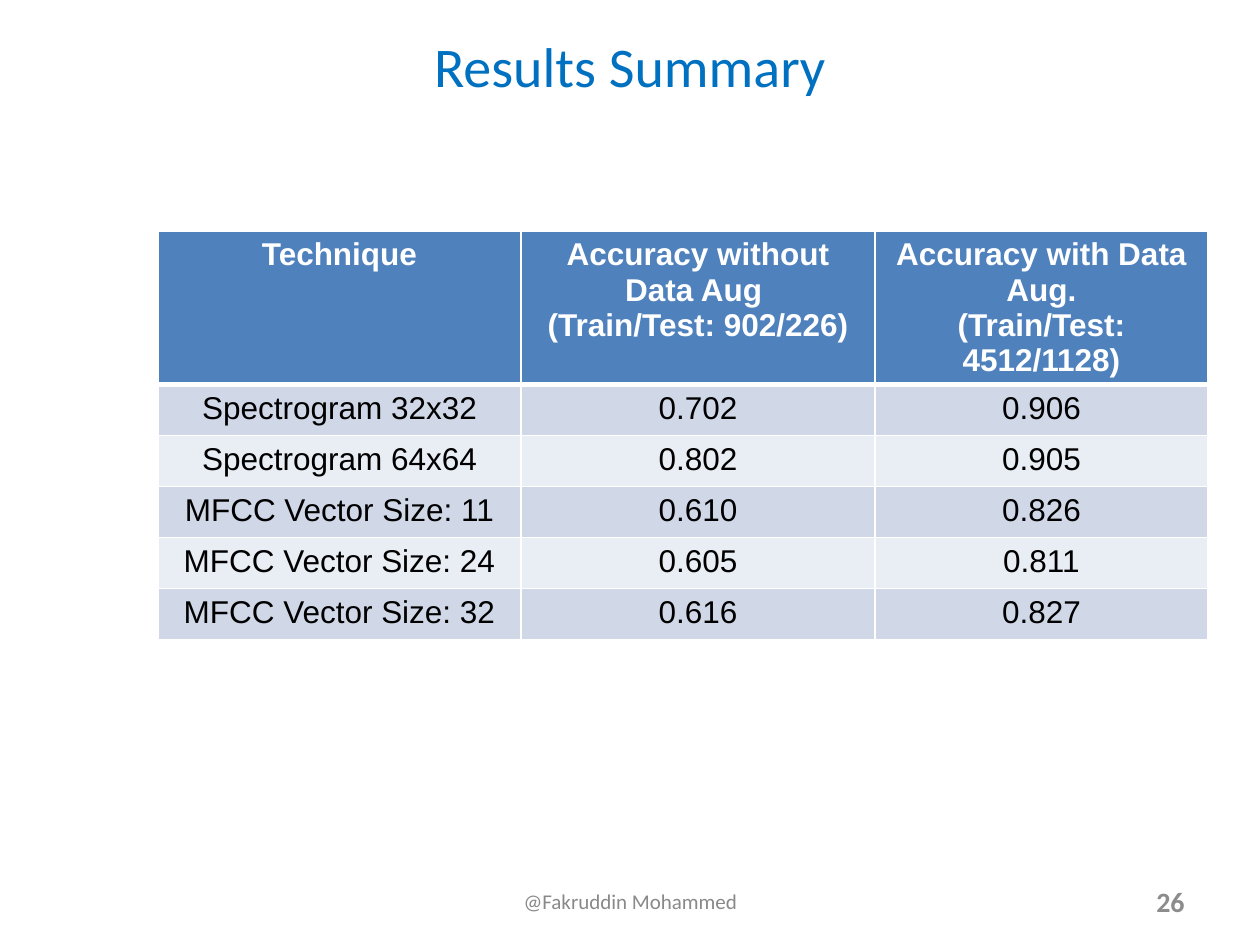
import pptx
import pptx.dml.color
import pptx.enum.text
import pptx.oxml
import pptx.oxml.ns
import pptx.util

RGBColor = pptx.dml.color.RGBColor
ALIGN = pptx.enum.text.PP_ALIGN
ANCHOR = pptx.enum.text.MSO_ANCHOR

TITLE_BLUE = RGBColor(0x00, 0x70, 0xC0)
FOOTER_GRAY = RGBColor(0x89, 0x89, 0x89)
NUMBER_GRAY = RGBColor(0x8C, 0x8C, 0x8C)
HEADER_BLUE = RGBColor(0x4F, 0x81, 0xBD)
BAND_COLORS = [RGBColor(0xD0, 0xD8, 0xE8), RGBColor(0xE9, 0xED, 0xF4)]
WHITE = RGBColor(0xFF, 0xFF, 0xFF)
BLACK = RGBColor(0x00, 0x00, 0x00)

PIXELS_PER_INCH = 126
COLUMN_WIDTHS = [363, 354, 333]
HEADER_HEIGHT = 153
ROW_HEIGHT = 51
RESULTS = [
    ["Technique",
     "Accuracy without Data Aug \n(Train/Test: 902/226)",
     "Accuracy with Data Aug.\n(Train/Test: 4512/1128)"],
    ["Spectrogram 32x32", "0.702", "0.906"],
    ["Spectrogram 64x64", "0.802", "0.905"],
    ["MFCC Vector Size: 11", "0.610", "0.826"],
    ["MFCC Vector Size: 24", "0.605", "0.811"],
    ["MFCC Vector Size: 32", "0.616", "0.827"],
]


def px(length):
    return pptx.util.Emu(round(length * 914400 / PIXELS_PER_INCH))


def write_text(frame, text, size, color, font="Calibri", bold=False,
               align=ALIGN.CENTER):
    frame.text = text
    for paragraph in frame.paragraphs:
        paragraph.alignment = align
        for run in paragraph.runs:
            run.font.name = font
            run.font.size = pptx.util.Pt(size)
            run.font.bold = bold
            run.font.color.rgb = color


def set_borders(cell, color, **widths):
    """Draw cell borders; widths maps the sides L, R, T, B to points."""
    properties = cell._tc.get_or_add_tcPr()
    for index, side in enumerate("LRTB"):
        line = pptx.oxml.parse_xml(
            f'<a:ln{side} {pptx.oxml.ns.nsdecls("a")} '
            f'w="{pptx.util.Pt(widths[side])}"><a:solidFill>'
            f'<a:srgbClr val="{color}"/></a:solidFill></a:ln{side}>')
        properties.insert(index, line)


def add_title(slide, left, top, width, height):
    title = slide.shapes.title
    title.left, title.top = px(left), px(top)
    title.width, title.height = px(width), px(height)
    frame = title.text_frame
    frame.auto_size = pptx.enum.text.MSO_AUTO_SIZE.NONE
    frame.vertical_anchor = ANCHOR.MIDDLE
    write_text(frame, "Results Summary", 32, TITLE_BLUE)


def add_results_table(slide, left, top):
    height = HEADER_HEIGHT + ROW_HEIGHT * (len(RESULTS) - 1)
    table = slide.shapes.add_table(
        len(RESULTS), len(COLUMN_WIDTHS), px(left), px(top),
        px(sum(COLUMN_WIDTHS)), px(height)).table
    for column, width in zip(table.columns, COLUMN_WIDTHS):
        column.width = px(width)
    for row_index, values in enumerate(RESULTS):
        is_header = row_index == 0
        table.rows[row_index].height = px(HEADER_HEIGHT if is_header else ROW_HEIGHT)
        fill_color = HEADER_BLUE if is_header else BAND_COLORS[(row_index - 1) % 2]
        for column_index, value in enumerate(values):
            cell = table.cell(row_index, column_index)
            cell.fill.solid()
            cell.fill.fore_color.rgb = fill_color
            write_text(cell.text_frame, value, 18, WHITE if is_header else BLACK,
                       font="Arial", bold=is_header)
            set_borders(cell, WHITE, L=1, R=1, T=3 if row_index == 1 else 1,
                        B=3 if is_header else 1)


def add_footer_text(slide, left, top, width, height, text, **text_format):
    box = slide.shapes.add_textbox(px(left), px(top), px(width), px(height))
    box.text_frame.word_wrap = True
    box.text_frame.vertical_anchor = ANCHOR.MIDDLE
    write_text(box.text_frame, text, **text_format)


def main():
    presentation = pptx.Presentation()
    presentation.slide_width = px(1260)
    presentation.slide_height = px(945)
    slide = presentation.slides.add_slide(presentation.slide_layouts[5])
    add_title(slide, 63, 16, 1134, 98)
    add_results_table(slide, 158, 231)
    add_footer_text(slide, 431, 876, 399, 50, "@Fakruddin Mohammed",
                    size=12, color=FOOTER_GRAY)
    add_footer_text(slide, 903, 876, 294, 50, "26", size=16,
                    color=NUMBER_GRAY, bold=True, align=ALIGN.RIGHT)
    presentation.save("out.pptx")


if __name__ == "__main__":
    main()
